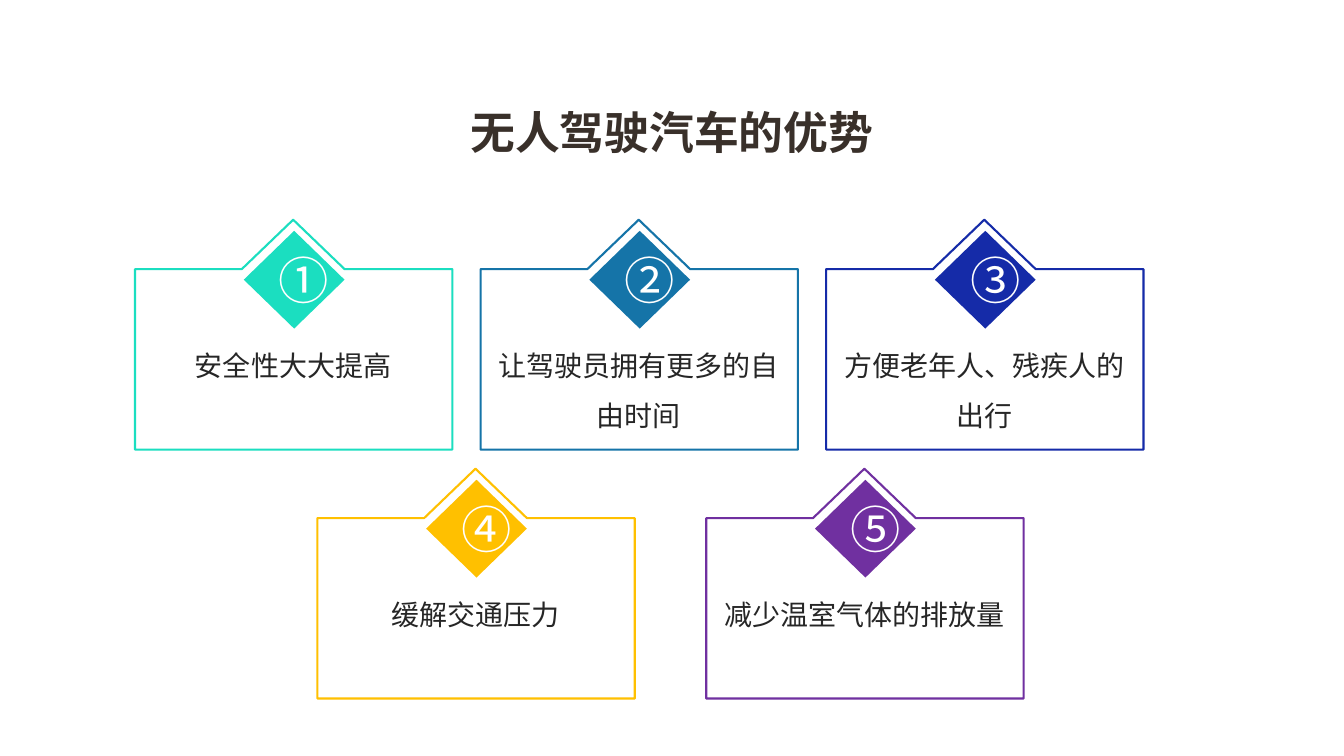
from dataclasses import dataclass

from lxml import etree
from pptx import Presentation
from pptx import util as u
from pptx.dml.color import RGBColor
from pptx.enum import shapes, text
from pptx.oxml.ns import qn

SCALE = 9144


@dataclass(frozen=True)
class Theme:
    font: str = "Noto Sans CJK JP"
    title_color: str = "39302A"
    body_color: str = "262626"
    number_color: str = "FFFFFF"
    title_size: int = 32
    body_size: int = 20
    number_size: int = 36
    outline: float = 1.5


THEME = Theme()

TITLE = "无人驾驶汽车的优势"
ROWS = [
    ((134, 218), 343, [
        ("①", "安全性大大提高", "1BDEC0"),
        ("②", "让驾驶员拥有更多的自由时间", "1574A8"),
        ("③", "方便老年人、残疾人的出行", "152BA8"),
    ]),
    ((315, 465), 386, [
        ("④", "缓解交通压力", "FFC000"),
        ("⑤", "减少温室气体的排放量", "7030A0"),
    ]),
]
CARD_WIDTH, CARD_HEIGHT = 315, 228
CHARS_PER_LINE = 10


def px(*lengths):
    return [u.Emu(length * SCALE) for length in lengths]


def write(frame, content, size, color, bold=False, spacing=None):
    frame.word_wrap = True
    paragraph = frame.paragraphs[0]
    paragraph.alignment = text.PP_ALIGN.CENTER
    paragraph.line_spacing = spacing
    run = paragraph.add_run()
    run.text = content
    font = run.font
    font.name = THEME.font
    font.size = u.Pt(size)
    font.bold = bold
    font.color.rgb = RGBColor.from_string(color)
    etree.SubElement(font._element, qn("a:ea"), typeface=THEME.font)


def place_title(slide, left, top, width, height):
    title = slide.shapes.title
    title.left, title.top, title.width, title.height = px(left, top, width, height)
    write(title.text_frame, TITLE, THEME.title_size, THEME.title_color, bold=True)


def place_card(slide, left, top, width, height, number, advantage, color):
    card = slide.shapes.add_group_shape().shapes
    accent = RGBColor.from_string(color)
    middle, shoulder = left + width // 2, top + 49
    right, bottom = left + width, top + height

    builder = card.build_freeform(*px(middle, top), scale=1.0)
    builder.add_line_segments([px(*point) for point in (
        (middle + 51, shoulder), (right, shoulder), (right, bottom),
        (left, bottom), (left, shoulder), (middle - 51, shoulder),
    )])
    frame = builder.convert_to_shape()
    frame.shadow.inherit = False
    frame.fill.background()
    frame.line.color.rgb = accent
    frame.line.width = u.Pt(THEME.outline)

    diamond = card.add_shape(shapes.MSO_SHAPE.DIAMOND,
                             *px(middle - 49, top + 11, 100, 97))
    diamond.shadow.inherit = False
    diamond.fill.solid()
    diamond.fill.fore_color.rgb = accent
    diamond.line.fill.background()
    diamond.text_frame.vertical_anchor = text.MSO_ANCHOR.MIDDLE
    write(diamond.text_frame, number, THEME.number_size, THEME.number_color)

    caption_height = 108 if len(advantage) > CHARS_PER_LINE else 57
    caption = card.add_textbox(
        *px(left + 9, top + 108, width - 19, caption_height)).text_frame
    caption.margin_left, caption.margin_right = px(7, 7)
    caption.margin_top, caption.margin_bottom = px(3, 3)
    caption.auto_size = text.MSO_AUTO_SIZE.SHAPE_TO_FIT_TEXT
    write(caption, advantage, THEME.body_size, THEME.body_color, spacing=1.5)


def main():
    deck = Presentation()
    deck.slide_width, deck.slide_height = px(1334, 750)
    slide = deck.slides.add_slide(deck.slide_layouts[5])
    place_title(slide, 281, 99, 772, 64)
    for (left, top), pitch, cards in ROWS:
        for column, card in enumerate(cards):
            place_card(slide, left + column * pitch, top,
                       CARD_WIDTH, CARD_HEIGHT, *card)
    deck.save("out.pptx")


if __name__ == "__main__":
    main()
